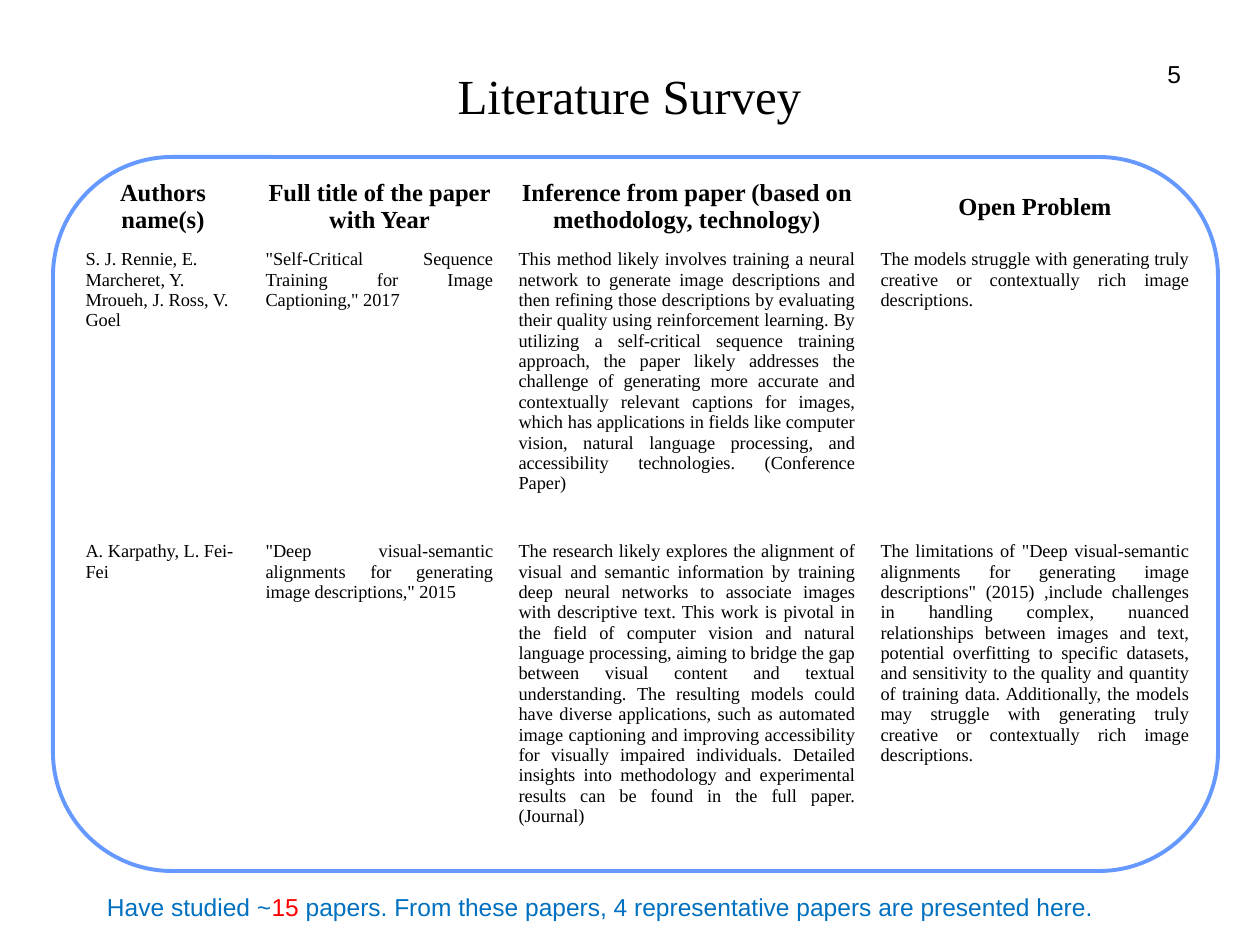
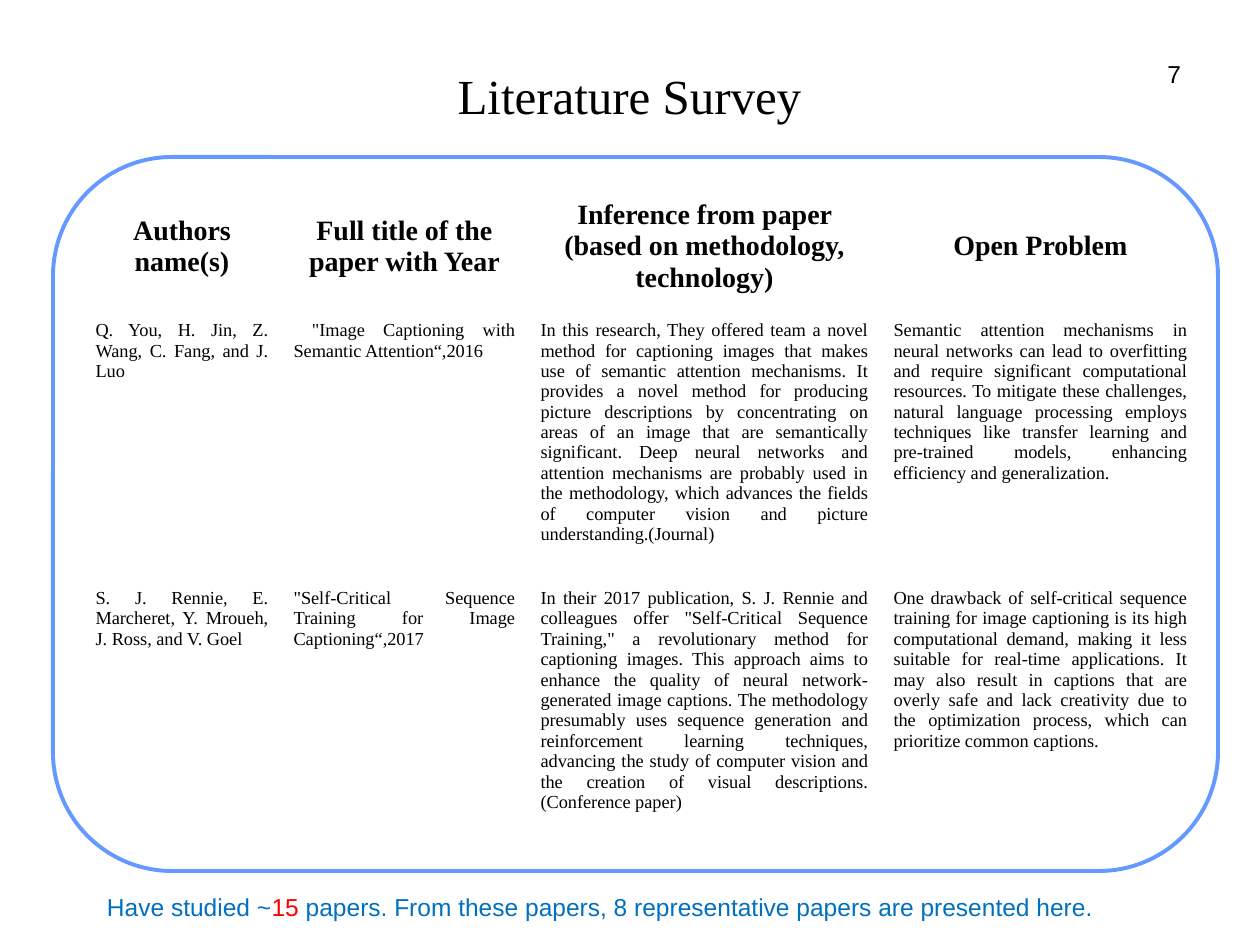
from dataclasses import dataclass

from pptx import Presentation
from pptx.dml.color import RGBColor
from pptx.enum.shapes import MSO_SHAPE
from pptx.enum.text import MSO_ANCHOR, PP_ALIGN
from pptx.oxml.ns import qn
from pptx.util import Emu, Pt

PX_PER_INCH = 126
NO_STYLE_NO_GRID = "{2D5ABB26-0587-4C30-8999-92F81FD0307C}"


@dataclass(frozen=True)
class Theme:
    ink: str = "000000"
    paper: str = "FFFFFF"
    frame: str = "6699FF"
    note: str = "0070C0"
    accent: str = "FF0000"
    serif: str = "Times New Roman"
    sans: str = "Arial"
    title_size: float = 28
    small_size: float = 14
    body_size: float = 10.5
    frame_width: float = 2.25


THEME = Theme()

TITLE = "Literature Survey"
HEADINGS = [
    "Authors name(s)",
    "Full title of the paper with Year",
    "Inference from paper (based on methodology, technology)",
    "Open Problem",
]
STUDIED = 15

SURVEYS = [
    {
        "page": 5,
        "presented": 4,
        "origin": (73, 171),
        "columns": [180, 253, 362, 334],
        "rows": [72, 292, 276],
        "heading_size": 14,
        "authors_align": PP_ALIGN.LEFT,
        "papers": [
            (
                "S. J. Rennie, E. Marcheret, Y. Mroueh, J. Ross, V. Goel",
                '"Self-Critical Sequence Training for Image Captioning," 2017',
                "This method likely involves training a neural network to generate image "
                "descriptions and then refining those descriptions by evaluating their quality "
                "using reinforcement learning. By utilizing a self-critical sequence training "
                "approach, the paper likely addresses the challenge of generating more accurate "
                "and contextually relevant captions for images, which has applications in fields "
                "like computer vision, natural language processing, and accessibility "
                "technologies. (Conference Paper)",
                "The models struggle with generating truly creative or contextually rich image "
                "descriptions.",
            ),
            (
                "A. Karpathy, L. Fei-Fei",
                '"Deep visual-semantic alignments for generating image descriptions," 2015',
                "The research likely explores the alignment of visual and semantic information "
                "by training deep neural networks to associate images with descriptive text. "
                "This work is pivotal in the field of computer vision and natural language "
                "processing, aiming to bridge the gap between visual content and textual "
                "understanding. The resulting models could have diverse applications, such as "
                "automated image captioning and improving accessibility for visually impaired "
                "individuals. Detailed insights into methodology and experimental results can "
                "be found in the full paper. (Journal)",
                'The limitations of "Deep visual-semantic alignments for generating image '
                'descriptions" (2015) ,include challenges in handling complex, nuanced '
                "relationships between images and text, potential overfitting to specific "
                "datasets, and sensitivity to the quality and quantity of training data. "
                "Additionally, the models may struggle with generating truly creative or "
                "contextually rich image descriptions.",
            ),
        ],
    },
    {
        "page": 7,
        "presented": 8,
        "origin": (83, 179),
        "columns": [198, 247, 353, 319],
        "rows": [135, 268, 276],
        "heading_size": 16,
        "authors_align": PP_ALIGN.JUSTIFY,
        "papers": [
            (
                "Q. You, H. Jin, Z. Wang, C. Fang, and J. Luo",
                ' "Image Captioning with Semantic Attention“,2016',
                "In this research, They offered team a novel method for captioning images that "
                "makes use of semantic attention mechanisms. It provides a novel method for "
                "producing picture descriptions by concentrating on areas of an image that are "
                "semantically significant. Deep neural networks and attention mechanisms are "
                "probably used in the methodology, which advances the fields of computer vision "
                "and picture understanding.(Journal)",
                "Semantic attention mechanisms in neural networks can lead to overfitting and "
                "require significant computational resources. To mitigate these challenges, "
                "natural language processing employs techniques like transfer learning and "
                "pre-trained models, enhancing efficiency and generalization.",
            ),
            (
                "S. J. Rennie, E. Marcheret, Y. Mroueh, J. Ross, and V. Goel",
                '"Self-Critical Sequence Training for Image Captioning“,2017',
                "In their 2017 publication, S. J. Rennie and colleagues offer \"Self-Critical "
                "Sequence Training,\" a revolutionary method for captioning images. This "
                "approach aims to enhance the quality of neural network-generated image "
                "captions. The methodology presumably uses sequence generation and "
                "reinforcement learning techniques, advancing the study of computer vision and "
                "the creation of visual descriptions. (Conference paper)",
                "One drawback of self-critical sequence training for image captioning is its "
                "high computational demand, making it less suitable for real-time applications. "
                "It may also result in captions that are overly safe and lack creativity due to "
                "the optimization process, which can prioritize common captions.",
            ),
        ],
    },
]


def px(length):
    return Emu(round(length * 914400 / PX_PER_INCH))


def box(*lengths):
    return [px(length) for length in lengths]


def style(run, font, size, color=THEME.ink, bold=False):
    run.font.name = font
    run.font.size = Pt(size)
    run.font.bold = bold
    run.font.color.rgb = RGBColor.from_string(color)


def add_text(slide, place, parts, font, size, align=PP_ALIGN.LEFT,
             anchor=MSO_ANCHOR.TOP, side_inset=6):
    """Add a one-paragraph box; parts are (text, colour) pairs."""
    frame = slide.shapes.add_textbox(*box(*place)).text_frame
    frame.word_wrap = True
    frame.vertical_anchor = anchor
    frame.margin_left = frame.margin_right = px(side_inset)
    paragraph = frame.paragraphs[0]
    paragraph.alignment = align
    for text, color in parts:
        run = paragraph.add_run()
        run.text = text
        style(run, font, size, color)


def add_frame(slide):
    frame = slide.shapes.add_shape(MSO_SHAPE.ROUNDED_RECTANGLE, *box(53, 157, 1165, 714))
    frame.shadow.inherit = False
    frame.fill.solid()
    frame.fill.fore_color.rgb = RGBColor.from_string(THEME.paper)
    frame.line.color.rgb = RGBColor.from_string(THEME.frame)
    frame.line.width = Pt(THEME.frame_width)


def fill_cell(cell, text, size, align, anchor=MSO_ANCHOR.TOP, bold=False):
    cell.fill.background()
    cell.vertical_anchor = anchor
    cell.text_frame.text = text
    paragraph = cell.text_frame.paragraphs[0]
    paragraph.alignment = align
    style(paragraph.runs[0], THEME.serif, size, bold=bold)


def add_papers(slide, survey):
    columns, rows = survey["columns"], survey["rows"]
    place = box(*survey["origin"], sum(columns), sum(rows))
    table = slide.shapes.add_table(len(rows), len(columns), *place).table
    table.first_row = table.horz_banding = False
    table._tbl.tblPr.find(qn("a:tableStyleId")).text = NO_STYLE_NO_GRID
    for column, width in zip(table.columns, columns):
        column.width = px(width)
    for row, height in zip(table.rows, rows):
        row.height = px(height)

    for c, heading in enumerate(HEADINGS):
        fill_cell(table.cell(0, c), heading, survey["heading_size"], PP_ALIGN.CENTER,
                  MSO_ANCHOR.MIDDLE, bold=True)
    for r, paper in enumerate(survey["papers"], start=1):
        for c, text in enumerate(paper):
            align = PP_ALIGN.JUSTIFY if c else survey["authors_align"]
            fill_cell(table.cell(r, c), text, THEME.body_size, align)


def add_survey(deck, survey):
    slide = deck.slides.add_slide(deck.slide_layouts[6])
    add_frame(slide)
    add_text(slide, (1145, 53, 42, 40), [(str(survey["page"]), THEME.ink)],
             THEME.sans, THEME.small_size, PP_ALIGN.RIGHT)
    add_text(slide, (157, 39, 945, 111), [(TITLE, THEME.ink)],
             THEME.serif, THEME.title_size, PP_ALIGN.CENTER, MSO_ANCHOR.MIDDLE)
    note = [
        ("Have studied ~", THEME.note),
        (str(STUDIED), THEME.accent),
        (f" papers. From these papers, {survey['presented']} representative papers "
         "are presented here.", THEME.note),
    ]
    add_text(slide, (94, 886, 1045, 43), note, THEME.sans, THEME.small_size, side_inset=13)
    add_papers(slide, survey)


def main():
    deck = Presentation()
    deck.slide_width, deck.slide_height = box(1260, 945)
    for survey in SURVEYS:
        add_survey(deck, survey)
    deck.save("out.pptx")


if __name__ == "__main__":
    main()
